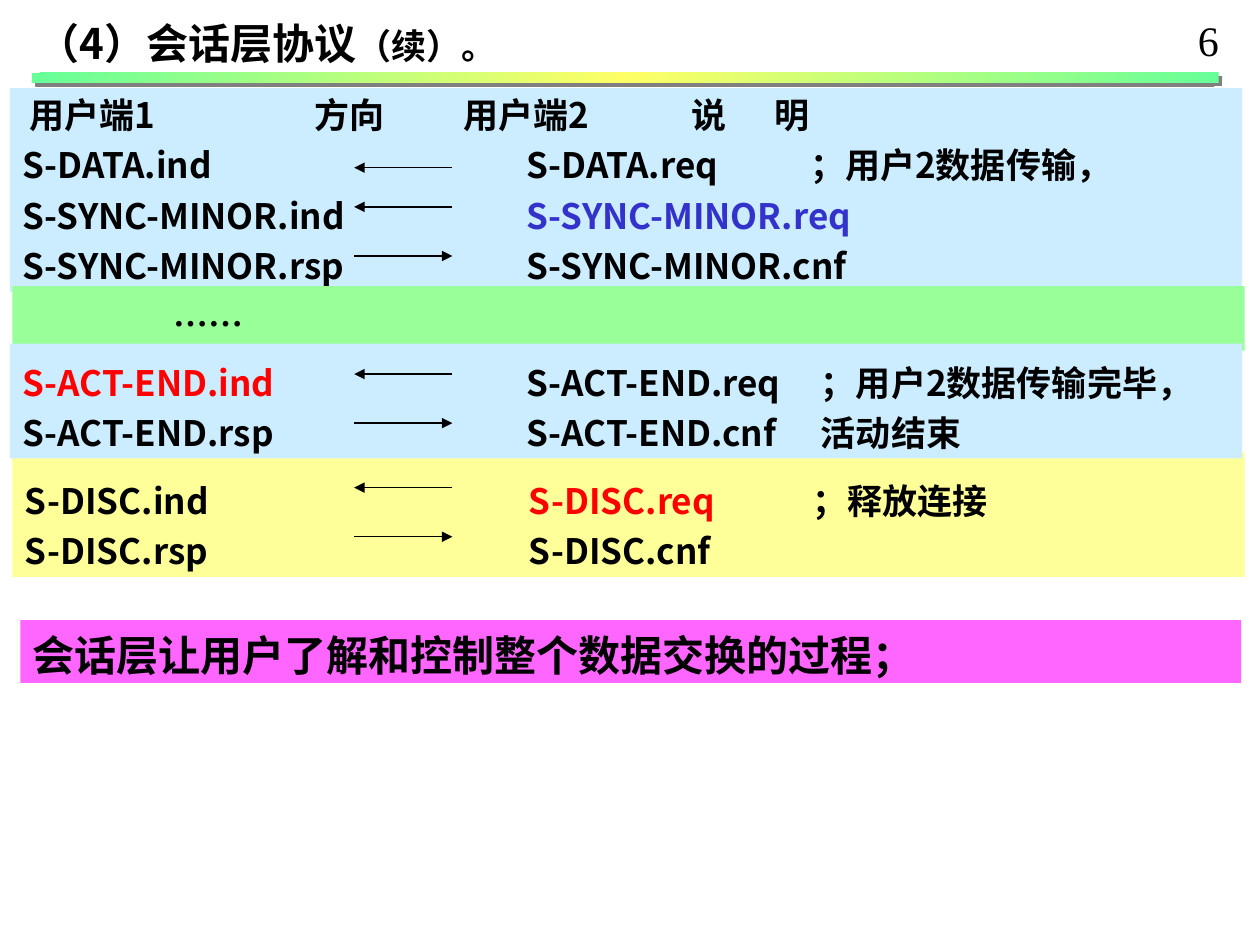
from copy import deepcopy
from dataclasses import dataclass

from lxml import etree
from pptx import Presentation
from pptx.dml import color as c
from pptx.enum import shapes, text
from pptx.oxml import ns
from pptx.util import Cm, Pt


@dataclass(frozen=True)
class Theme:
    font: str = "Noto Sans CJK SC"
    number_font: str = "Times New Roman"
    black: str = "000000"
    red: str = "FF0000"
    blue: str = "3333CC"
    sky: str = "CCECFF"
    green: str = "99FF99"
    yellow: str = "FFFF99"
    pink: str = "FF66FF"
    bar_edge: str = "66FF99"
    bar_middle: str = "FFFF66"
    shadow: str = "808080"
    body: int = 20
    large: int = 24


THEME = Theme()
SIDE_INSET = 0.25
HEADER = (0.15, 5.9, 8.9, 13.5, 15.17)
REQUEST, REMARK, END_REMARK = 10.16, 15.88, 16.1
ARROW_LEFT, ARROW_RIGHT = 7.14, 9.12


def rgb(value):
    return c.RGBColor.from_string(value)


def add_child(parent, tag, **attributes):
    child = etree.SubElement(parent, ns.qn(tag))
    for name, value in attributes.items():
        child.set(name, str(value))
    return child


def apply(target, values):
    for name, value in values.items():
        setattr(target, name, value)


def place(shape, left, top, width, height):
    apply(shape, {"left": Cm(left), "top": Cm(top),
                  "width": Cm(width), "height": Cm(height)})


def format_frame(frame, top_inset, wrap=True):
    apply(frame, {
        "word_wrap": wrap,
        "auto_size": text.MSO_AUTO_SIZE.NONE,
        "vertical_anchor": text.MSO_ANCHOR.TOP,
        "margin_left": Cm(SIDE_INSET),
        "margin_right": Cm(SIDE_INSET),
        "margin_top": Cm(top_inset),
        "margin_bottom": Cm(0),
    })


def format_para(para, line_height):
    apply(para, {"alignment": text.PP_ALIGN.LEFT, "line_spacing": Pt(line_height),
                 "space_before": Pt(0), "space_after": Pt(0)})


def add_span(para, words, color=THEME.black, size=THEME.body, font=THEME.font, bold=True):
    span = para.add_run()
    span.text = words
    span.font.color.rgb = rgb(color)
    apply(span.font, {"name": font, "size": Pt(size), "bold": bold})
    add_child(span.font._element, "a:ea", typeface=font)


def add_tabs(para, stops):
    tabs = add_child(para._p.get_or_add_pPr(), "a:tabLst")
    for stop in stops:
        add_child(tabs, "a:tab", pos=int(Cm(stop)), algn="l")


def fill_row(para, cells, line_height):
    format_para(para, line_height)
    add_tabs(para, [stop for stop, _, _ in cells if stop])
    for stop, words, color in cells:
        add_span(para, ("\t" if stop else "") + words, color)


def add_panel(page, bounds, fill, top_inset):
    panel = page.shapes.add_shape(shapes.MSO_SHAPE.RECTANGLE, *map(Cm, bounds))
    panel.shadow.inherit = False
    panel.fill.solid()
    panel.fill.fore_color.rgb = rgb(fill)
    panel.line.fill.background()
    format_frame(panel.text_frame, top_inset)
    return panel


def add_rows(page, bounds, fill, top_inset, rows, first_height=28.8):
    frame = add_panel(page, bounds, fill, top_inset).text_frame
    for index, cells in enumerate(rows):
        para = frame.add_paragraph() if index else frame.paragraphs[0]
        fill_row(para, cells, 28.8 if index else first_height)


def cell(stop, words, color=THEME.black):
    return stop, words, color


def add_arrow(page, y, to_right):
    ends = (ARROW_LEFT, ARROW_RIGHT) if to_right else (ARROW_RIGHT, ARROW_LEFT)
    arrow = page.shapes.add_connector(
        shapes.MSO_CONNECTOR.STRAIGHT, Cm(ends[0]), Cm(y), Cm(ends[1]), Cm(y))
    arrow.line.color.rgb = rgb(THEME.black)
    arrow.line.width = Pt(0.75)
    add_child(arrow.line._get_or_add_ln(), "a:tailEnd", type="triangle")
    add_child(arrow._element.spPr, "a:effectLst")


def add_bar(page):
    bar = add_panel(page, (0.64, 1.47, 23.93, 0.2), THEME.bar_edge, 0)
    bar.fill.gradient()
    bar.fill.gradient_angle = 315
    first = bar.fill.gradient_stops[0]._gs
    first.addnext(deepcopy(first))
    colors = (THEME.bar_edge, THEME.bar_middle, THEME.bar_edge)
    for stop, position, color in zip(bar.fill.gradient_stops, (0, 0.5, 1), colors):
        stop.position = position
        stop.color.rgb = rgb(color)
    effects = bar._element.spPr.find(ns.qn("a:effectLst"))
    shadow = add_child(effects, "a:outerShdw", dist=int(Pt(2.8)), dir=45 * 60000,
                       algn="ctr", rotWithShape=0)
    add_child(shadow, "a:srgbClr", val=THEME.shadow)


def add_title(page):
    title = page.shapes.title
    place(title, 0.51, 0.23, 12.19, 1.17)
    format_frame(title.text_frame, 0.18)
    para = title.text_frame.paragraphs[0]
    format_para(para, 27)
    add_span(para, "（4）会话层协议", size=THEME.large)
    add_span(para, "（续）。")


def add_page_number(page):
    box = page.shapes.add_textbox(Cm(23.9), Cm(0.13), Cm(0.94), Cm(1.27))
    format_frame(box.text_frame, 0.22, wrap=False)
    para = box.text_frame.paragraphs[0]
    format_para(para, 27)
    add_span(para, "6", size=THEME.large, font=THEME.number_font, bold=False)


def add_summary(page):
    panel = add_panel(page, (0.41, 12.5, 24.61, 1.27), THEME.pink, 0.15)
    para = panel.text_frame.paragraphs[0]
    format_para(para, 30)
    add_span(para, "会话层让用户了解和控制整个数据交换的过程；", size=THEME.large)


def main():
    deck = Presentation()
    apply(deck, {"slide_width": Cm(25.4), "slide_height": Cm(19.05)})
    page = deck.slides.add_slide(deck.slide_layouts[5])

    add_bar(page)
    add_page_number(page)
    add_title(page)

    headings = ("用户端1", "方向", "用户端2", "说", "明")
    add_rows(page, (0.2, 1.78, 24.84, 4.11), THEME.sky, 0.03, [
        [cell(stop, words) for stop, words in zip(HEADER, headings)],
        [cell(0, "S-DATA.ind"), cell(REQUEST, "S-DATA.req"),
         cell(REMARK, "；用户2数据传输，")],
        [cell(0, "S-SYNC-MINOR.ind"), cell(REQUEST, "S-SYNC-MINOR.req", THEME.blue)],
        [cell(0, "S-SYNC-MINOR.rsp"), cell(REQUEST, "S-SYNC-MINOR.cnf")],
    ], first_height=26)
    add_rows(page, (0.25, 5.77, 24.84, 1.3), THEME.green, 0.15, [[cell(3, "……")]])
    add_rows(page, (0.25, 9.12, 24.84, 2.51), THEME.yellow, 0.37, [
        [cell(0, "S-DISC.ind"), cell(REQUEST, "S-DISC.req", THEME.red),
         cell(REMARK, "；释放连接")],
        [cell(0, "S-DISC.rsp"), cell(REQUEST, "S-DISC.cnf")],
    ])
    add_rows(page, (0.2, 6.93, 24.84, 2.31), THEME.sky, 0.18, [
        [cell(0, "S-ACT-END.ind", THEME.red), cell(REQUEST, "S-ACT-END.req"),
         cell(END_REMARK, "；用户2数据传输完毕，")],
        [cell(0, "S-ACT-END.rsp"), cell(REQUEST, "S-ACT-END.cnf"),
         cell(END_REMARK, "活动结束")],
    ])
    add_summary(page)

    for y in (3.38, 4.17, 7.54, 9.83):
        add_arrow(page, y, to_right=False)
    for y in (5.16, 8.53, 10.82):
        add_arrow(page, y, to_right=True)

    deck.save("out.pptx")


if __name__ == "__main__":
    main()
